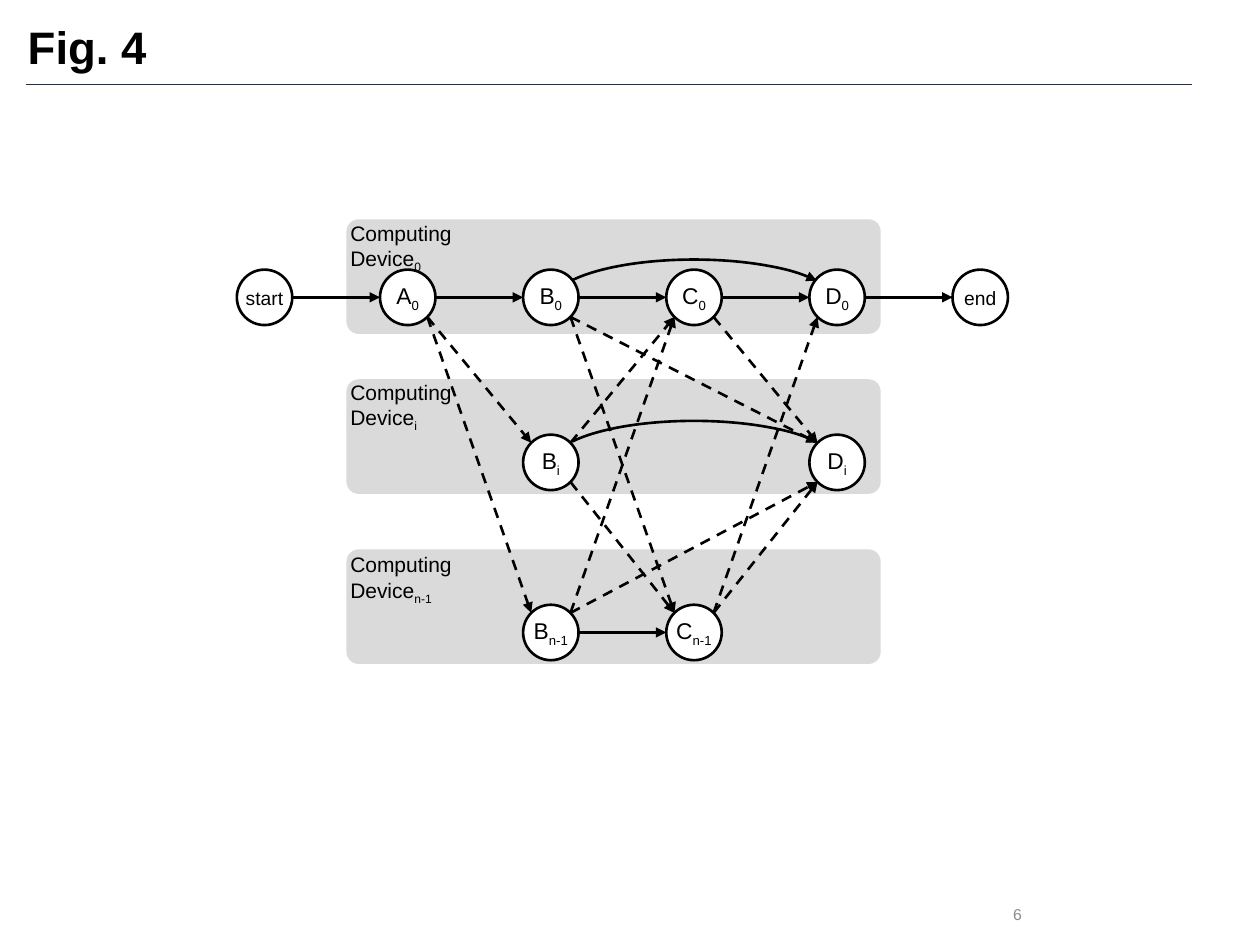
import math
from dataclasses import dataclass

import pptx
import pptx.dml.color
import pptx.enum.dml
import pptx.enum.shapes
import pptx.enum.text
import pptx.oxml
import pptx.oxml.ns
import pptx.util
from pptx.util import Inches

SHAPES = pptx.enum.shapes.MSO_SHAPE
ALIGN = pptx.enum.text.PP_ALIGN
ANCHOR = pptx.enum.text.MSO_ANCHOR


@dataclass(frozen=True)
class Theme:
    font: str = "Arial"
    ink: str = "000000"
    node: str = "FFFFFF"
    band: str = "DADADA"
    rule: str = "1C314E"
    muted: str = "8C8C8C"
    title_size: float = 26
    node_size: float = 13
    label_size: float = 12
    terminal_size: float = 11
    number_size: float = 9
    stroke: float = 1.5


def rgb(value):
    return pptx.dml.color.RGBColor.from_string(value)


def drawing_element(tag, attributes=""):
    return pptx.oxml.parse_xml(f'<a:{tag} {pptx.oxml.ns.nsdecls("a")} {attributes}/>')


class FlowSlide:
    """Draws task graph elements on one slide in a shared style."""

    def __init__(self, presentation, theme):
        self.theme = theme
        self.slide = presentation.slides.add_slide(presentation.slide_layouts[5])
        self.shapes = self.slide.shapes

    def set_text(self, frame, text, size, color, subscript="", align=ALIGN.LEFT,
                 anchor=ANCHOR.TOP, bold=False, margins=(0, 0, 0, 0)):
        frame.text = text
        frame.word_wrap = True
        frame.auto_size = pptx.enum.text.MSO_AUTO_SIZE.NONE
        frame.vertical_anchor = anchor
        (frame.margin_left, frame.margin_top,
         frame.margin_right, frame.margin_bottom) = map(Inches, margins)
        paragraph = frame.paragraphs[0]
        paragraph.alignment = align
        if subscript:
            lowered = paragraph.add_run()
            lowered.text = subscript
            lowered._r.get_or_add_rPr().set("baseline", "-25000")
        for run in paragraph.runs:
            run.font.name = self.theme.font
            run.font.size = pptx.util.Pt(size)
            run.font.bold = bold
            run.font.color.rgb = rgb(color)

    def title(self, text, *box):
        heading = self.shapes.title
        heading.left, heading.top, heading.width, heading.height = map(Inches, box)
        self.set_text(heading.text_frame, text, self.theme.title_size, self.theme.ink,
                      bold=True, margins=(0.1, 0.08, 0.1, 0.05))

    def text(self, text, box, size, color, **style):
        self.set_text(self.shapes.add_textbox(*map(Inches, box)).text_frame,
                      text, size, color, **style)

    def band(self, *box):
        band = self.shapes.add_shape(SHAPES.ROUNDED_RECTANGLE, *map(Inches, box))
        band.shadow.inherit = False
        band.adjustments[0] = 0.107
        band.fill.solid()
        band.fill.fore_color.rgb = rgb(self.theme.band)
        band.line.fill.background()

    def stroke(self, shape, color, width, dashed=False, arrow=False):
        shape.line.color.rgb = rgb(color)
        shape.line.width = pptx.util.Pt(width)
        if dashed:
            shape.line.dash_style = pptx.enum.dml.MSO_LINE.DASH
        if arrow:
            shape.get_or_add_ln().append(drawing_element("tailEnd", 'type="triangle"'))

    def node(self, center, diameter, text, subscript):
        left, top = (value - diameter / 2 for value in center)
        node = self.shapes.add_shape(
            SHAPES.OVAL, *map(Inches, (left, top, diameter, diameter)))
        node.shadow.inherit = False
        node.fill.solid()
        node.fill.fore_color.rgb = rgb(self.theme.node)
        self.stroke(node, self.theme.ink, self.theme.stroke)
        size = self.theme.node_size if subscript else self.theme.terminal_size
        self.set_text(node.text_frame, text, size, self.theme.ink, subscript,
                      align=ALIGN.CENTER, anchor=ANCHOR.MIDDLE)

    def line(self, start, end, color, width, **style):
        line = self.shapes.add_connector(
            pptx.enum.shapes.MSO_CONNECTOR.STRAIGHT, *map(Inches, (*start, *end)))
        self.stroke(line, color, width, **style)
        line._element.spPr.append(drawing_element("effectLst"))

    def edge(self, start, end, diameter):
        """Links two node rims, dashed when the nodes lie on different devices."""
        rise = (end[1] > start[1]) - (end[1] < start[1])
        angle = rise * math.pi / 4
        dx, dy = (diameter / 2 * part(angle) for part in (math.cos, math.sin))
        self.line((start[0] + dx, start[1] + dy), (end[0] - dx, end[1] - dy),
                  self.theme.ink, self.theme.stroke, dashed=rise != 0, arrow=True)

    def arc(self, *box):
        arc = self.shapes.add_shape(SHAPES.ARC, *map(Inches, box))
        arc.shadow.inherit = False
        arc.adjustments[0], arc.adjustments[1] = 114.39, 209.81
        arc.fill.background()
        self.stroke(arc, self.theme.ink, self.theme.stroke, arrow=True)


def main():
    presentation = pptx.Presentation()
    presentation.slide_width, presentation.slide_height = Inches(10), Inches(7.5)
    theme = Theme()
    page = FlowSlide(presentation, theme)
    page.line((0.21, 0.67), (9.46, 0.67), theme.rule, 1)
    page.text("6", (7.83, 7.06, 0.49, 0.4), theme.number_size, theme.muted,
              align=ALIGN.CENTER, anchor=ANCHOR.MIDDLE)
    page.title("Fig. 4", 0.12, 0.07, 9.19, 0.73)

    diameter = 0.44
    first_column, last_column = 2.10, 7.78
    stages = ["start", "A", "B", "C", "D", "end"]
    step = (last_column - first_column) / (len(stages) - 1)
    column = {stage: first_column + i * step for i, stage in enumerate(stages)}
    devices = {
        "0": {"band": 1.74, "label": 1.75, "row": 2.36, "tasks": "ABCD"},
        "i": {"band": 3.01, "label": 3.01, "row": 3.67, "tasks": "BD"},
        "n-1": {"band": 4.36, "label": 4.38, "row": 5.02, "tasks": "BC"},
    }
    nodes = {(task, device): (column[task], place["row"])
             for device, place in devices.items() for task in place["tasks"]}
    nodes |= {(end, ""): (column[end], devices["0"]["row"]) for end in ("start", "end")}
    successors = {
        ("start", ""): [("A", "0")],
        ("A", "0"): [("B", "0"), ("B", "i"), ("B", "n-1")],
        ("B", "0"): [("C", "0"), ("C", "n-1"), ("D", "i")],
        ("B", "i"): [("C", "0"), ("C", "n-1")],
        ("B", "n-1"): [("C", "0"), ("C", "n-1"), ("D", "i")],
        ("C", "0"): [("D", "0"), ("D", "i")],
        ("C", "n-1"): [("D", "0"), ("D", "i")],
        ("D", "0"): [("end", "")],
    }

    for place in devices.values():
        page.band(2.75, place["band"], 4.24, 0.91)
    for (task, device), center in nodes.items():
        page.node(center, diameter, task, device)
    for source, targets in successors.items():
        for target in targets:
            page.edge(nodes[source], nodes[target], diameter)
    for device, place in devices.items():
        page.text("Computing\vDevice", (2.78, place["label"], 0.88, 0.4),
                  theme.label_size, theme.ink, subscript=device)
    for arc_top in (2.06, 3.34):
        page.arc(column["B"], arc_top, column["D"] - column["B"], 0.69)

    presentation.save("out.pptx")


if __name__ == "__main__":
    main()
